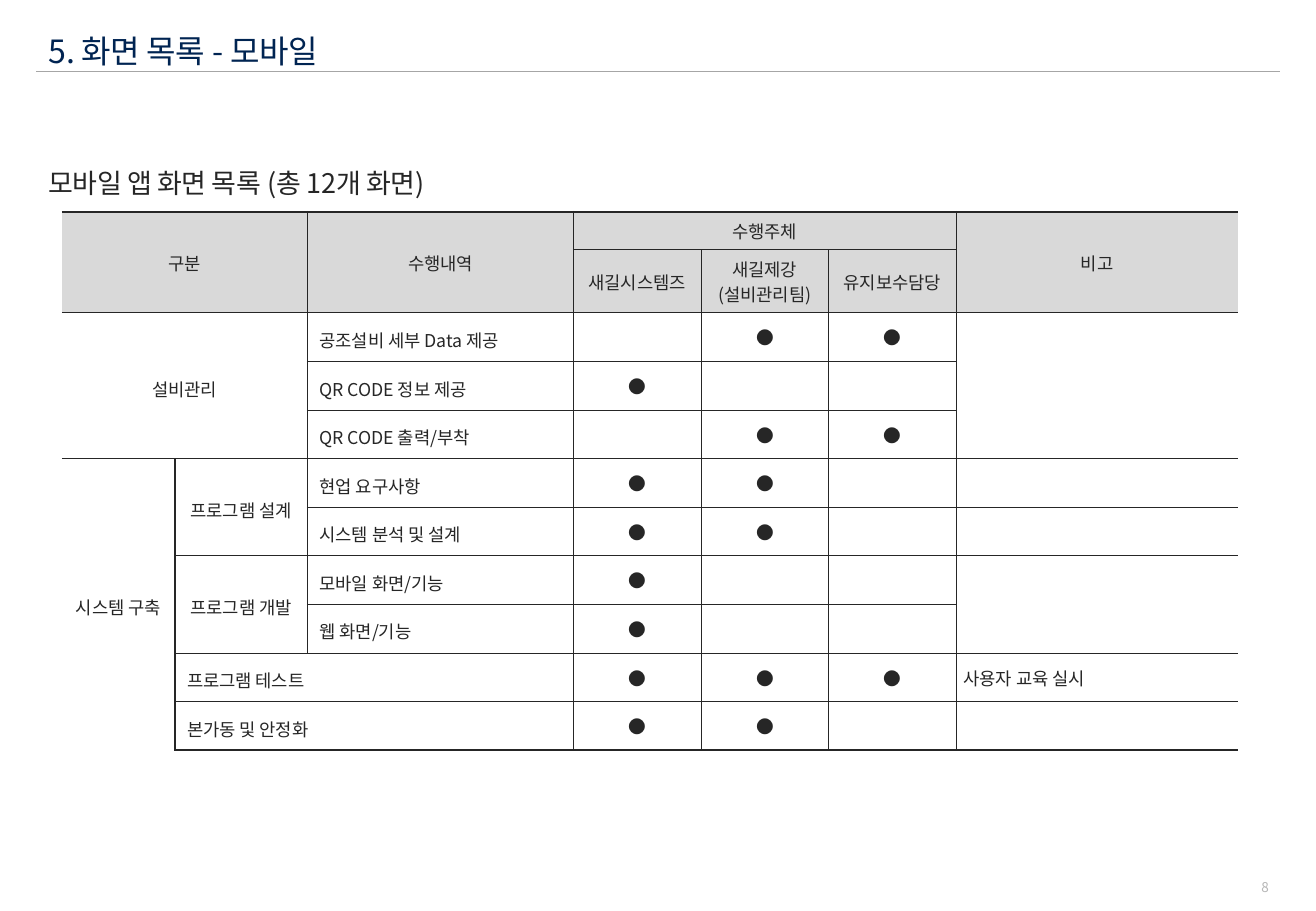
"""Build the slide listing the mobile app screens and who carries out each task."""
from dataclasses import dataclass

from lxml import etree
from pptx import Presentation
from pptx import util as u
from pptx.dml.color import RGBColor
from pptx.enum import shapes, text
from pptx.oxml import ns

COLORS = {"title": "002452", "ink": "262626", "rule": "A6A6A6",
          "number": "B6B6B6", "header": "D9D9D9", "body": "FFFFFF"}
FONT = "Noto Sans CJK KR"
GRID = u.Inches(0.1)
COLUMNS = [9.3, 10.9, 21.9, 10.5, 10.5, 10.5, 23.2]
ROWS = [3.1, 5] + [4] * 9
HEADER_ROWS = 2
FIRST_PERFORMER = 3
TABLE_SIZE = 10.5
THIN, THICK = 0.75, 1.5
LEFT, CENTER, RIGHT = text.PP_ALIGN.LEFT, text.PP_ALIGN.CENTER, text.PP_ALIGN.RIGHT
PERFORMED = [" ●●", "●  ", " ●●", "●● ", "●● ", "●  ", "●  ", "●●●", "●● "]


@dataclass(frozen=True)
class Box:
    left: float
    top: float
    width: float
    height: float

    def lengths(self) -> list[int]:
        return [round(value * GRID) for value in (self.left, self.top, self.width, self.height)]


@dataclass(frozen=True)
class Style:
    size: float
    color: str
    align: text.PP_ALIGN = LEFT
    leading: float = 1.0
    spacing: int = 0


@dataclass(frozen=True)
class Entry:
    row: int
    column: int
    words: str = ""
    rows: int = 1
    columns: int = 1
    align: text.PP_ALIGN = CENTER
    inset: float = 1.0


ENTRIES = [
    Entry(0, 0, "구분", 2, 2),
    Entry(0, 2, "수행내역", 2),
    Entry(0, 3, "수행주체", 1, 3),
    Entry(0, 6, "비고", 2),
    Entry(1, 3, "새길시스템즈"),
    Entry(1, 4, "새길제강\n(설비관리팀)"),
    Entry(1, 5, "유지보수담당"),
    Entry(2, 0, "설비관리", 3, 2),
    Entry(5, 0, "시스템 구축", 6),
    Entry(5, 1, "프로그램 설계", 2),
    Entry(7, 1, "프로그램 개발", 2),
    Entry(2, 2, "공조설비 세부 Data 제공", align=LEFT),
    Entry(3, 2, "QR CODE 정보 제공", align=LEFT),
    Entry(4, 2, "QR CODE 출력/부착", align=LEFT),
    Entry(5, 2, "현업 요구사항", align=LEFT),
    Entry(6, 2, "시스템 분석 및 설계", align=LEFT),
    Entry(7, 2, "모바일 화면/기능", align=LEFT),
    Entry(8, 2, "웹 화면/기능", align=LEFT),
    Entry(9, 1, "프로그램 테스트", columns=2, align=LEFT),
    Entry(10, 1, "본가동 및 안정화", columns=2, align=LEFT),
    Entry(2, 6, rows=3),
    Entry(5, 6),
    Entry(6, 6),
    Entry(7, 6, rows=2),
    Entry(9, 6, "사용자 교육 실시", align=LEFT, inset=0.6),
    Entry(10, 6),
] + [
    Entry(HEADER_ROWS + row, FIRST_PERFORMER + column, mark.strip(), inset=0)
    for row, marks in enumerate(PERFORMED) for column, mark in enumerate(marks)
]


def color(name: str) -> RGBColor:
    return RGBColor.from_string(COLORS[name])


def write(frame, words: str, style: Style) -> None:
    frame.text = words
    for paragraph in frame.paragraphs:
        paragraph.alignment = style.align
        paragraph.line_spacing = style.leading
        paragraph.space_before = u.Pt(0)
        if not paragraph.runs:
            paragraph._p.get_or_add_endParaRPr().set("sz", str(int(style.size * 100)))
        for run in paragraph.runs:
            run.font.name = FONT
            run.font.size = u.Pt(style.size)
            run.font.bold = False
            run.font.color.rgb = color(style.color)
            properties = run._r.get_or_add_rPr()
            if style.spacing:
                properties.set("spc", str(style.spacing))
            etree.SubElement(properties, ns.qn("a:ea"), typeface=FONT)


def write_box(shape, box: Box, words: str, style: Style, anchor: text.MSO_ANCHOR) -> None:
    shape.left, shape.top, shape.width, shape.height = box.lengths()
    frame = shape.text_frame
    frame.word_wrap = True
    frame.auto_size = text.MSO_AUTO_SIZE.NONE
    frame.vertical_anchor = anchor
    write(frame, words, style)


def add_text(slide, box: Box, words: str, style: Style, anchor: text.MSO_ANCHOR) -> None:
    write_box(slide.shapes.add_textbox(*box.lengths()), box, words, style, anchor)


def draw_border(cell, side: str, width: float) -> None:
    line = etree.SubElement(cell._tc.get_or_add_tcPr(), ns.qn(f"a:ln{side}"),
                            w=str(u.Pt(width)))
    if width:
        fill = etree.SubElement(line, ns.qn("a:solidFill"))
        etree.SubElement(fill, ns.qn("a:srgbClr"), val=COLORS["ink"])
    else:
        etree.SubElement(line, ns.qn("a:noFill"))


def draw_entry(table, entry: Entry) -> None:
    last_row = entry.row + entry.rows - 1
    last_column = entry.column + entry.columns - 1
    header = entry.row < HEADER_ROWS
    style = Style(TABLE_SIZE, "ink", entry.align,
                  1.2 if not header and entry.column < FIRST_PERFORMER else 1.0)
    for row in range(entry.row, last_row + 1):
        for column in range(entry.column, last_column + 1):
            cell = table.cell(row, column)
            first = (row, column) == (entry.row, entry.column)
            write(cell.text_frame, entry.words if first else "", style)
            cell.vertical_anchor = text.MSO_ANCHOR.MIDDLE
            cell.margin_left = cell.margin_right = round(entry.inset * GRID)
            if not entry.inset:
                cell.margin_top = cell.margin_bottom = 0
            top = THICK if row == 0 else THIN
            bottom = THICK if row == len(ROWS) - 1 else THIN
            draw_border(cell, "L", THIN if column == entry.column > 0 else 0)
            draw_border(cell, "R", THIN if column == last_column < len(COLUMNS) - 1 else 0)
            draw_border(cell, "T", top if row == entry.row else 0)
            draw_border(cell, "B", bottom if row == last_row else 0)
            cell.fill.solid()
            cell.fill.fore_color.rgb = color("header" if header else "body")
    if entry.rows * entry.columns > 1:
        table.cell(entry.row, entry.column).merge(table.cell(last_row, last_column))


def add_task_table(slide) -> None:
    box = Box(5.1, 17.45, sum(COLUMNS), sum(ROWS))
    table = slide.shapes.add_table(len(ROWS), len(COLUMNS), *box.lengths()).table
    table.first_row = table.horz_banding = False
    for column, width in zip(table.columns, COLUMNS):
        column.width = round(width * GRID)
    for row, height in zip(table.rows, ROWS):
        row.height = round(height * GRID)
    for entry in ENTRIES:
        draw_entry(table, entry)


def add_title_rule(slide) -> None:
    height = round(5.9 * GRID)
    rule = slide.shapes.add_connector(shapes.MSO_CONNECTOR.STRAIGHT, 3 * GRID, height,
                                      round(105.3 * GRID), height)
    rule.line.color.rgb = color("rule")
    rule.line.width = u.Pt(0.5)
    etree.SubElement(rule._element.spPr, ns.qn("a:effectLst"))


def main() -> None:
    presentation = Presentation()
    presentation.slide_width, presentation.slide_height = u.Inches(10.83), u.Inches(7.5)
    slide = presentation.slides.add_slide(presentation.slide_layouts[5])
    add_title_rule(slide)
    write_box(slide.shapes.title, Box(3, 1.5, 67.5, 4.8), "5. 화면 목록 - 모바일",
              Style(19, "title", leading=1.2, spacing=-20), text.MSO_ANCHOR.MIDDLE)
    add_text(slide, Box(101.3, 72.2, 4.1, 1.6), "8",
             Style(8, "number", RIGHT), text.MSO_ANCHOR.MIDDLE)
    add_text(slide, Box(3, 12.7, 102.4, 9.6), "모바일 앱 화면 목록 (총 12개 화면)",
             Style(16, "ink", leading=1.2, spacing=-20), text.MSO_ANCHOR.TOP)
    add_task_table(slide)
    presentation.save("out.pptx")


if __name__ == "__main__":
    main()
